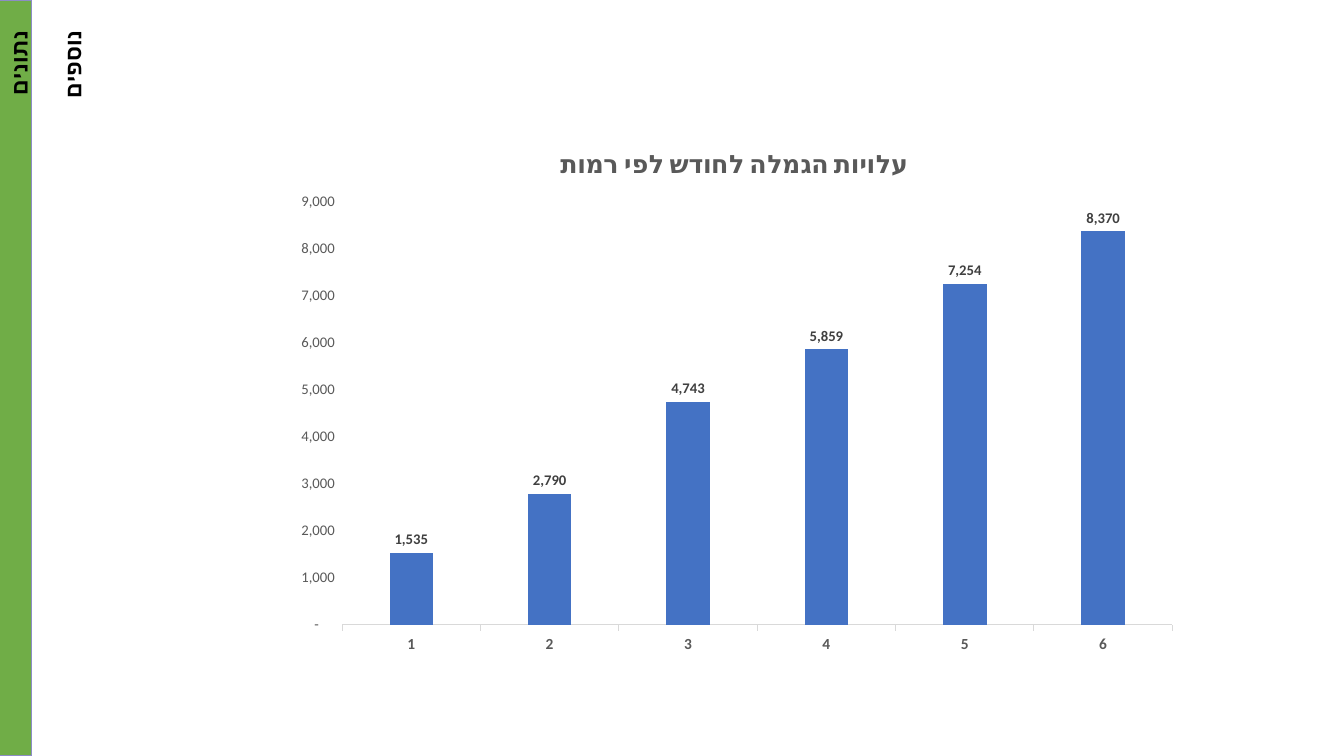
from lxml.etree import SubElement
from pptx import Presentation
from pptx.chart.data import CategoryChartData
from pptx.dml.color import RGBColor
from pptx.enum.chart import XL_CHART_TYPE as ChartType, XL_LABEL_POSITION as LabelPosition
from pptx.enum.chart import XL_TICK_MARK as TickMark
from pptx.enum.shapes import MSO_SHAPE as Shape
from pptx.enum.text import MSO_ANCHOR as Anchor, PP_ALIGN as Align
from pptx.oxml import parse_xml
from pptx.oxml.ns import nsdecls, qn
from pptx.util import Inches, Pt

# Content
SIDE_LABEL = "נתונים נוספים"
CHART_TITLE = "עלויות הגמלה לחודש לפי רמות"
COSTS = {"1": 1535, "2": 2790, "3": 4743, "4": 5859, "5": 7254, "6": 8370}

# Style
FONT = "Calibri"
COLORS = {"band": "70AD47", "band_line": "8C8DC5", "bar": "4472C4", "text": "000000",
          "grey": "595959", "label": "404040", "axis": "D9D9D9"}
AXIS_FORMAT = '_ * #,##0_ ;_ * \\-#,##0_ ;_ * "-"??_ ;_ '

# Places: left, top, width, height in inches; the plot in shares of the chart
SIZE = (13.33, 7.5)
BAND = (-0.01, 0, 0.32, SIZE[1])
LABEL = (-0.68, 0.62, 1.39, 0.56)
CHART = (2.76, 1.25, 9.05, 5.38)
PLOT = {"x": 0.07, "y": 0.14, "w": 0.91, "h": 0.78}


def color(name):
    return RGBColor.from_string(COLORS[name])


def set_font(font, size, name, bold=False):
    font.name, font.size, font.bold = FONT, Pt(size), bold
    font.color.rgb = color(name)


def set_hebrew(para, text, size, name):
    para.text = text
    para._p.get_or_add_pPr().set("rtl", "1")
    set_font(para.font, size, name, bold=True)
    for span in para.runs:
        SubElement(span._r.get_or_add_rPr(), qn("a:cs"), typeface=FONT)


deck = Presentation()
deck.slide_width, deck.slide_height = map(Inches, SIZE)
page = deck.slides.add_slide(deck.slide_layouts[6])

# Column chart
data = CategoryChartData()
data.categories = list(COSTS)
data.add_series("Series 1", COSTS.values())
chart = page.shapes.add_chart(ChartType.COLUMN_CLUSTERED, *map(Inches, CHART), data).chart
set_font(chart.font, 10, "text")
chart.has_legend = False
chart.has_title = True
set_hebrew(chart.chart_title.text_frame.paragraphs[0], CHART_TITLE, 18, "grey")
chart.chart_title.include_in_layout = False

plot = chart.plots[0]
plot.gap_width, plot.overlap, plot.vary_by_categories = 219, -27, False
bars = plot.series[0]
bars.format.fill.solid()
bars.format.fill.fore_color.rgb = color("bar")
labels = bars.data_labels
labels.show_value = True
labels.position = LabelPosition.OUTSIDE_END
labels.number_format, labels.number_format_is_linked = "#,##0", False
set_font(labels.font, 10.5, "label", bold=True)

levels = chart.category_axis
levels.major_tick_mark = TickMark.OUTSIDE
levels.format.line.color.rgb = color("axis")
levels.format.line.width = Pt(0.75)
set_font(levels.tick_labels.font, 11, "grey", bold=True)

amounts = chart.value_axis
amounts.minimum_scale, amounts.maximum_scale, amounts.major_unit = 0, 9000, 1000
amounts.has_major_gridlines = False
amounts.major_tick_mark = TickMark.NONE
amounts.format.line.fill.background()
amounts.tick_labels.number_format = AXIS_FORMAT
amounts.tick_labels.number_format_is_linked = False
set_font(amounts.tick_labels.font, 10.5, "grey")

# Fixed inner plot area
modes = "".join(f'<c:{side}Mode val="edge"/>' for side in "xy")
shares = "".join(f'<c:{side} val="{share}"/>' for side, share in PLOT.items())
area = chart._chartSpace.chart.plotArea
for old in area.findall(qn("c:layout")):
    area.remove(old)
area.insert(0, parse_xml(
    f'<c:layout {nsdecls("c")}><c:manualLayout><c:layoutTarget val="inner"/>'
    f'{modes}{shares}</c:manualLayout></c:layout>'))

# Side band
band = page.shapes.add_shape(Shape.RECTANGLE, *map(Inches, BAND))
band.shadow.inherit = False
band.fill.solid()
band.fill.fore_color.rgb = color("band")
band.line.color.rgb = color("band_line")
band.line.width = Pt(1)

# Rotated side label
box = page.shapes.add_textbox(*map(Inches, LABEL))
box.rotation = 270
frame = box.text_frame
frame.word_wrap = True
frame.vertical_anchor = Anchor.TOP
para = frame.paragraphs[0]
para.alignment = Align.RIGHT
para.line_spacing = 2.0
set_hebrew(para, SIDE_LABEL, 16, "text")

deck.save("out.pptx")
